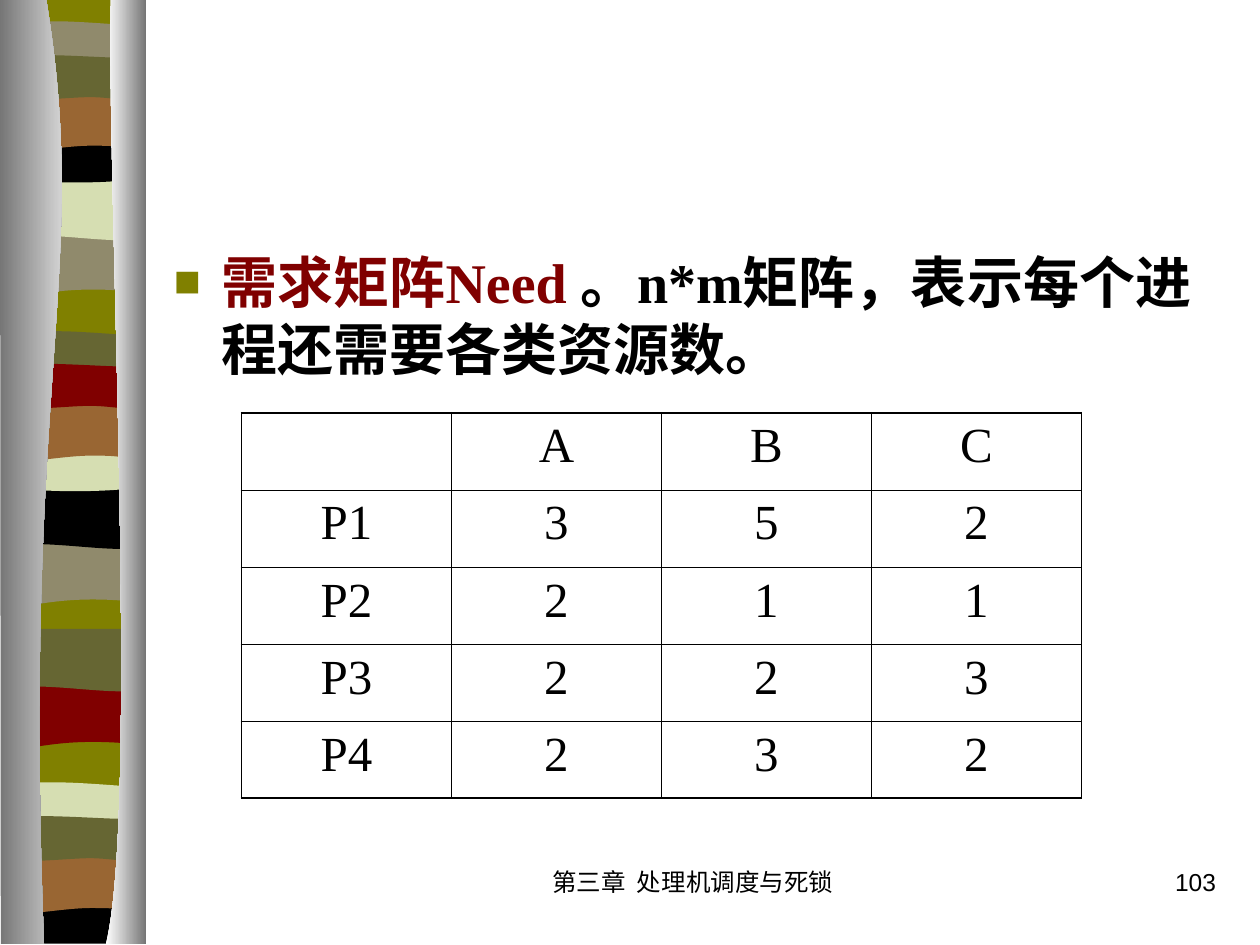
from dataclasses import dataclass
from typing import NamedTuple

from pptx import Presentation
from pptx.dml.color import RGBColor
from pptx.enum.text import MSO_AUTO_SIZE, PP_ALIGN as Align
from pptx.oxml import parse_xml
from pptx.oxml.ns import qn
from pptx.util import Pt

NS = 'xmlns:a="http://schemas.openxmlformats.org/drawingml/2006/main"'


@dataclass(frozen=True)
class Theme:
    olive: str = "808000"
    stone: str = "908A6C"
    moss: str = "666633"
    brown: str = "996633"
    black: str = "000000"
    pale: str = "D6DEB2"
    maroon: str = "800000"
    white: str = "FFFFFF"
    shade: str = "767676"
    serif: str = "Times New Roman"
    sans: str = "Arial"
    body_size: float = 32
    table_size: float = 28
    footer_size: float = 14
    outer_line: float = 1.08
    inner_line: float = 0.45


THEME = Theme()


class Band(NamedTuple):
    profile: str
    top: float
    color: str


# A pair is a corner; six numbers are a cubic curve (two controls, then the end).
BAND_LEFT = 4
PROFILES = {
    "dip": [(78, 0), (78, 34), (24, 28, 13, 40, 0, 34), (0, 0)],
    "sag": [(78, 0), (78, 34), (65, 39.5, 24, 30, 0, 34), (0, 0)],
    "lens": [(78, 3.5), (78, 21), (65, 24, 13, 24, 0, 21), (0, 3.5),
             (4.5, 0, 16.5, 0.7, 29.5, 0.7), (42.5, 0.7, 68, 3, 78, 3.5)],
    "bowl": [(78, 0), (78, 23.5), (65, 27.5, 13, 27.5, 0, 23.5), (0, 0),
             (47.5, 3.6, 61, 0, 78, 0)],
    "arch": [(78, 0), (78, 34), (65.5, 30, 60.5, 30, 47.5, 30),
             (34.5, 30, 11.5, 34, 0, 34), (0, 0)],
    "ripple": [(78, 3.5), (78, 26), (73, 29.5, 60.5, 26, 47.5, 26),
               (34.5, 26, 8, 29.5, 0, 26), (0, 3.5), (11, 0, 52.5, 3.5, 65.5, 3.5),
               (78, 3.5)],
    "base": [(78, 0), (78, 26.7), (0, 26.7), (0, 0), (47.5, 3.6, 61, 0, 78, 0)],
    "backdrop": [(78, 0), (78, 538), (0, 538), (0, 0)],
}
BANDS = [
    Band("backdrop", 0, THEME.olive),
    Band("dip", 133.2, THEME.stone),
    Band("sag", 101.5, THEME.pale),
    Band("lens", 11.5, THEME.stone),
    Band("bowl", 77.8, THEME.black),
    Band("arch", 53.3, THEME.brown),
    Band("ripple", 29.5, THEME.moss),
    Band("dip", 310.3, THEME.stone),
    Band("sag", 277.9, THEME.black),
    Band("lens", 188.6, THEME.moss),
    Band("bowl", 254.2, THEME.pale),
    Band("arch", 230.4, THEME.brown),
    Band("ripple", 205.9, THEME.maroon),
    Band("dip", 391.7, THEME.maroon),
    Band("sag", 359.3, THEME.moss),
    Band("lens", 446.4, THEME.pale),
    Band("base", 512.6, THEME.black),
    Band("arch", 488.9, THEME.brown),
    Band("ripple", 464.4, THEME.moss),
]
LEFT_EDGE = [(26.5, 0), (52, 155.5, 12.5, 213, 25.2, 539.3), (0.5, 539.3), (0, 0)]
RIGHT_EDGE = [(63.4, 0), (60.5, 90, 80, 465, 60.5, 539.3), (83.5, 539.3), (83.5, 0)]

NEED = [
    ["", "A", "B", "C"],
    ["P1", "3", "5", "2"],
    ["P2", "2", "1", "1"],
    ["P3", "2", "2", "3"],
    ["P4", "2", "3", "2"],
]


def bend_curves(area, outline: list):
    """Join each curve's three straight steps into one cubic segment."""
    steps = iter(list(area._element.iter(qn("a:lnTo"))))
    for part in outline[1:]:
        first = next(steps)
        if len(part) == 2:
            continue
        curve = parse_xml(f"<a:cubicBezTo {NS}/>")
        first.addprevious(curve)
        for step in (first, next(steps), next(steps)):
            curve.append(step[0])
            step.getparent().remove(step)


def draw_outline(shapes, outline: list, colors: list, left: float = 0, top: float = 0):
    """One colour gives a solid fill, two a gradient from left to right."""
    points = [(Pt(left + part[i]), Pt(top + part[i + 1]))
              for part in outline for i in range(0, len(part), 2)]
    builder = shapes.build_freeform(*points[0])
    builder.add_line_segments(points[1:], close=True)
    area = builder.convert_to_shape()
    bend_curves(area, outline)
    area.shadow.inherit = False
    area.line.fill.background()
    if len(colors) == 1:
        area.fill.solid()
        area.fill.fore_color.rgb = RGBColor.from_string(colors[0])
        return
    area.fill.gradient()
    area.fill.gradient_angle = 0
    for stop, color in zip(area.fill.gradient_stops, colors):
        stop.color.rgb = RGBColor.from_string(color)


def add_text(paragraph, text: str, *, size: float, font: str,
             color: str = THEME.black, bold: bool = False, align=None):
    paragraph.alignment = align
    paragraph.space_before = Pt(0)
    run = paragraph.add_run()
    run.text = text
    run.font.size = Pt(size)
    run.font.name = font
    run.font.bold = bold
    run.font.color.rgb = RGBColor.from_string(color)


def draw_statement(body):
    body.left, body.top, body.width, body.height = Pt(92.2), Pt(137.8), Pt(612), Pt(324)
    frame = body.text_frame
    frame.auto_size = MSO_AUTO_SIZE.NONE
    statement = frame.paragraphs[0]
    properties = statement._p.get_or_add_pPr()
    properties.set("marL", str(Pt(27)))
    properties.set("indent", str(Pt(-27)))
    for bullet in (f'<a:buClr {NS}><a:srgbClr val="{THEME.olive}"/></a:buClr>',
                   f'<a:buSzPct {NS} val="80000"/>',
                   f'<a:buChar {NS} char="■"/>'):
        properties.append(parse_xml(bullet))
    style = dict(size=THEME.body_size, font=THEME.serif, bold=True)
    add_text(statement, "需求矩阵Need ", color=THEME.maroon, **style)
    add_text(statement, "。n*m矩阵，表示每个进程还需要各类资源数。", **style)


def set_borders(cell, outer_sides: dict):
    """Draw the four borders, heavier where the side lies on the table's rim."""
    properties = cell._tc.get_or_add_tcPr()
    for index, (side, outer) in enumerate(outer_sides.items()):
        width = Pt(THEME.outer_line if outer else THEME.inner_line)
        properties.insert(index, parse_xml(
            f'<a:ln{side} {NS} w="{width}"><a:solidFill>'
            f'<a:srgbClr val="{THEME.black}"/></a:solidFill></a:ln{side}>'))


def draw_matrix(shapes, rows: list):
    last_row, last_column = len(rows) - 1, len(rows[0]) - 1
    matrix = shapes.add_table(len(rows), len(rows[0]), Pt(138), Pt(235.9),
                              Pt(480), Pt(220.3)).table
    matrix.first_row = matrix.horz_banding = False
    for r, values in enumerate(rows):
        for c, value in enumerate(values):
            cell = matrix.cell(r, c)
            cell.fill.background()
            set_borders(cell, {"L": c == 0, "R": c == last_column,
                               "T": r == 0, "B": r == last_row})
            if value:
                add_text(cell.text_frame.paragraphs[0], value, size=THEME.table_size,
                         font=THEME.serif, align=Align.CENTER)


def draw_footer(shapes, text: str, left: float, width: float, align):
    footer = shapes.add_textbox(Pt(left), Pt(491.8), Pt(width), Pt(36))
    footer.text_frame.word_wrap = True
    add_text(footer.text_frame.paragraphs[0], text, size=THEME.footer_size,
             font=THEME.sans, align=align)


def main():
    deck = Presentation()
    deck.slide_width, deck.slide_height = Pt(720), Pt(540)
    slide = deck.slides.add_slide(deck.slide_layouts[1])
    shapes = slide.shapes
    title = shapes.title._element
    title.getparent().remove(title)
    body = slide.placeholders[1]

    for band in BANDS:
        draw_outline(shapes, PROFILES[band.profile], [band.color], BAND_LEFT, band.top)
    draw_outline(shapes, LEFT_EDGE, [THEME.shade, THEME.white])
    draw_outline(shapes, RIGHT_EDGE, [THEME.white, THEME.shade])
    draw_statement(body)
    draw_matrix(shapes, NEED)
    draw_footer(shapes, "第三章  处理机调度与死锁", 282, 228, Align.CENTER)
    draw_footer(shapes, "103", 552, 150, Align.RIGHT)
    deck.save("out.pptx")


if __name__ == "__main__":
    main()
